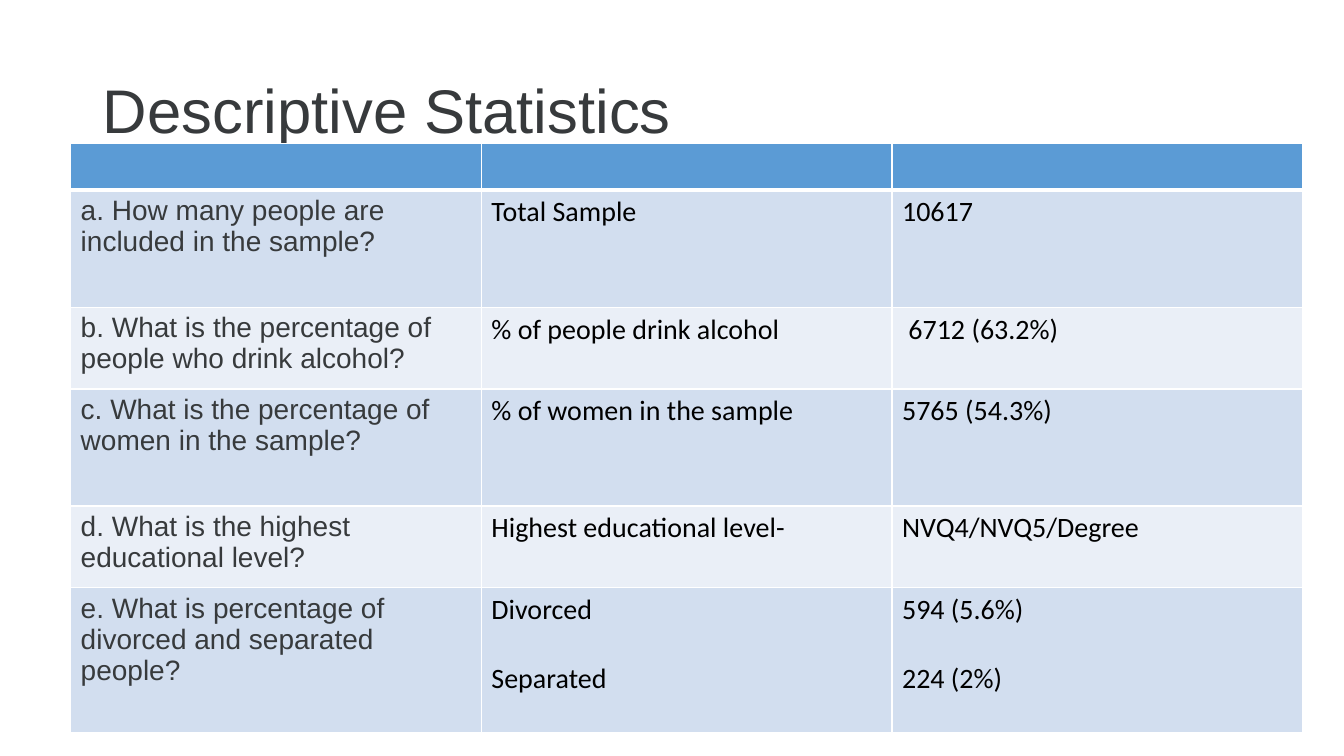
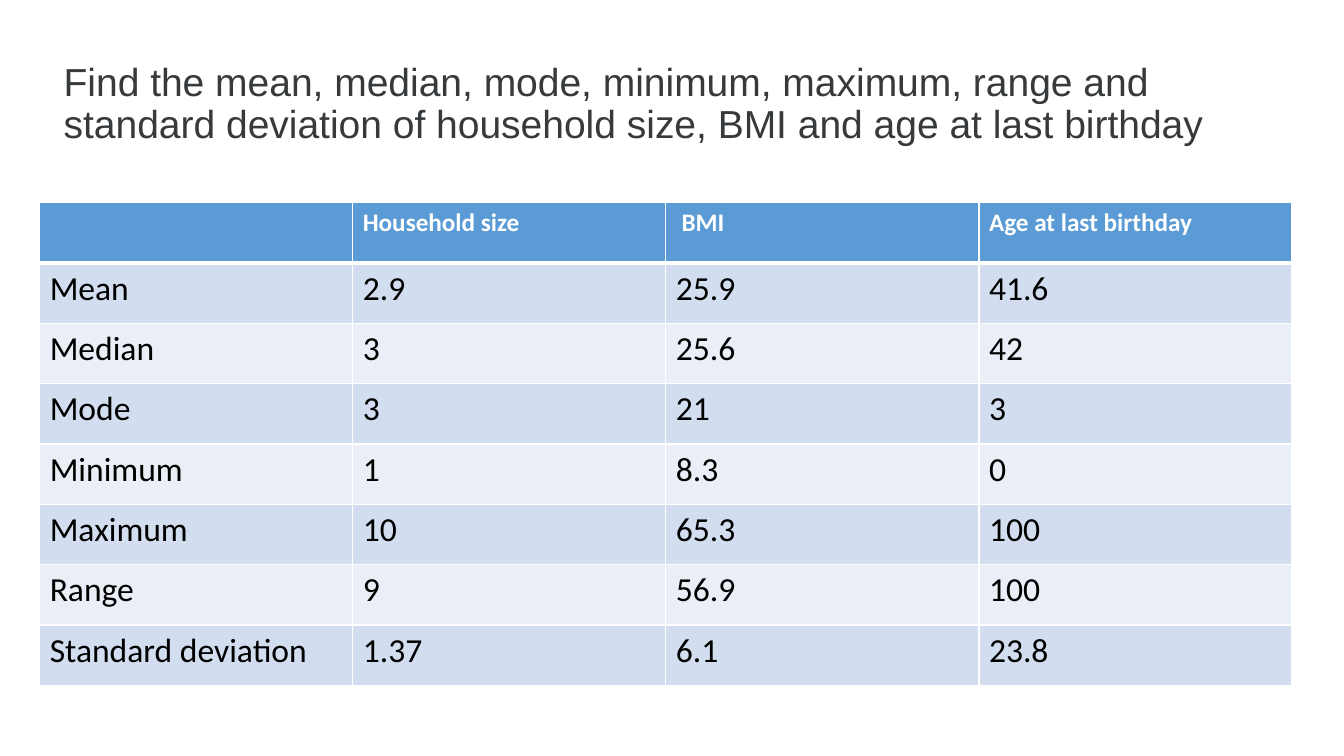
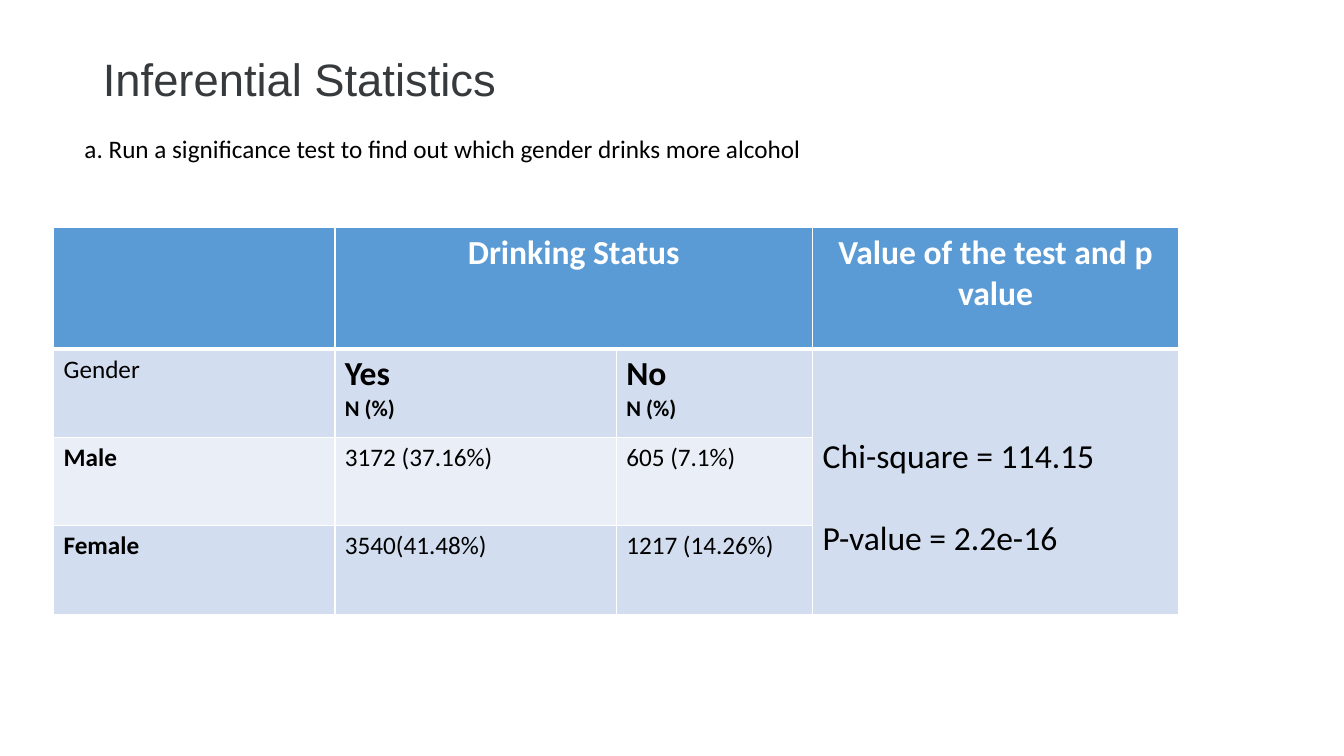
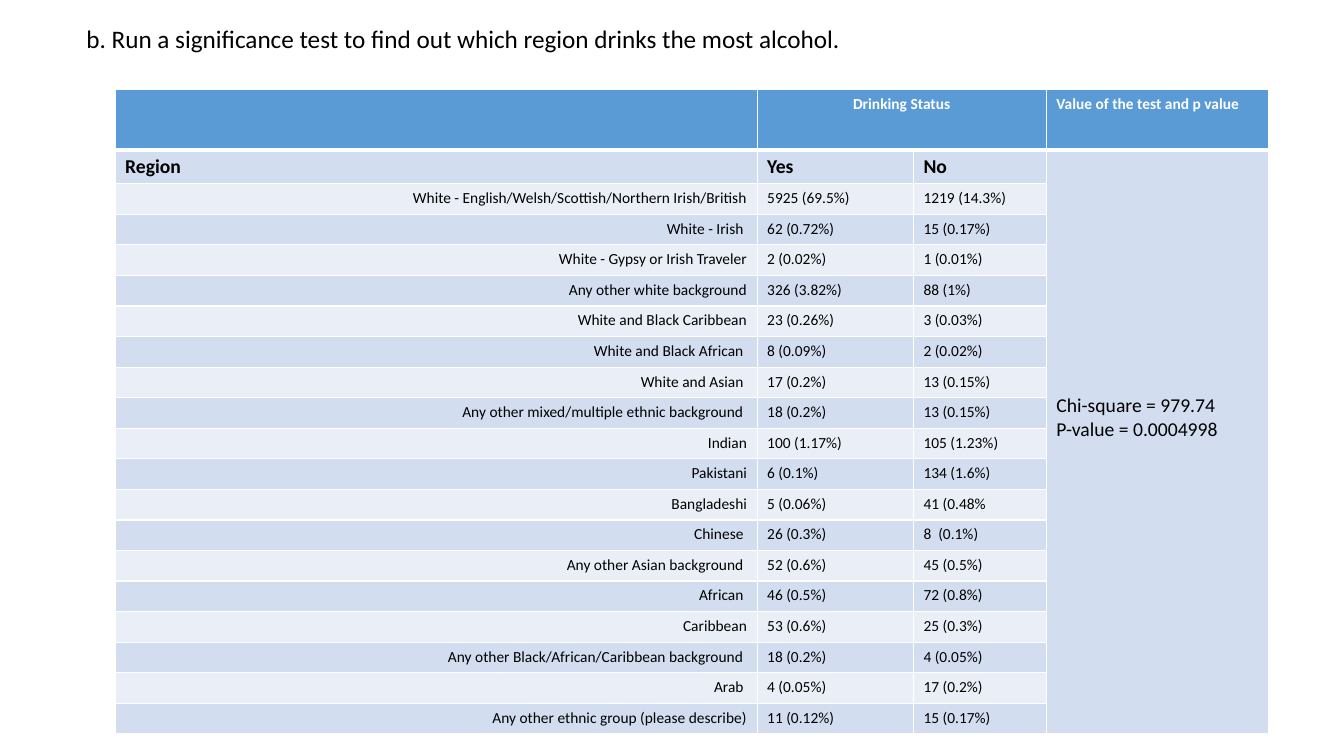
"""Build four slides of descriptive and inferential statistics on alcohol use."""
from dataclasses import dataclass, replace
from typing import NamedTuple

from lxml import etree
from pptx import Presentation
from pptx.dml.color import RGBColor
from pptx.enum import text as t
from pptx.oxml import ns
from pptx.util import Cm, Pt

WHITE, BLACK, SLATE = "FFFFFF", "000000", "373A3C"
HEADER_BLUE = "5B9BD5"
BANDS = ("D2DEEF", "EAEFF7")
TITLE_ONLY, BLANK = 5, 6
LINE_HEIGHT = 1.22


class Box(NamedTuple):
    """Position and size in centimetres."""
    left: float
    top: float
    width: float
    height: float


@dataclass(frozen=True)
class Style:
    """Look of one line of text."""
    size: float
    bold: bool = False
    color: str = BLACK
    font: str = "Calibri"
    align: t.PP_ALIGN = t.PP_ALIGN.LEFT


@dataclass(frozen=True)
class Line:
    """One paragraph, with the space before it in points."""
    text: str
    style: Style
    gap: float = 0


@dataclass(frozen=True)
class Cell:
    """Lines of a table cell and its top margin in centimetres."""
    lines: tuple[Line, ...] = ()
    margin_top: float = 0.13


@dataclass(frozen=True)
class Grid:
    """A table: corner, column widths, row heights, cells and merged ranges."""
    left: float
    top: float
    columns: list[float]
    heights: list[float]
    rows: list[list[Cell]]
    merges: tuple[tuple[int, int, int, int], ...] = ()


EMPTY = Cell()


def rgb(color: str) -> RGBColor:
    """Turn a hex string into a colour."""
    return RGBColor.from_string(color)


def cell(text: str, style: Style) -> Cell:
    """Make a cell with a single line."""
    return Cell((Line(text, style),))


def write_lines(frame, lines: tuple[Line, ...]) -> None:
    """Write formatted paragraphs into a text frame."""
    for index, line in enumerate(lines):
        paragraph = frame.add_paragraph() if index else frame.paragraphs[0]
        paragraph.alignment = line.style.align
        if line.gap:
            paragraph.space_before = Pt(line.gap)
        run = paragraph.add_run()
        run.text = line.text
        run.font.name = line.style.font
        run.font.size = Pt(line.style.size)
        run.font.bold = line.style.bold
        run.font.color.rgb = rgb(line.style.color)


def add_title(slide, text: str, size: float, box: Box) -> None:
    """Place and fill the title placeholder."""
    title = slide.shapes.title
    title.left, title.top, title.width, title.height = map(Cm, box)
    frame = title.text_frame
    frame.auto_size = t.MSO_AUTO_SIZE.NONE
    frame.vertical_anchor = t.MSO_ANCHOR.MIDDLE
    write_lines(frame, (Line(text, Style(size, color=SLATE, font="Arial")),))
    frame.paragraphs[0].line_spacing = 0.9


def add_caption(slide, text: str, box: Box) -> None:
    """Add the question above a table."""
    frame = slide.shapes.add_textbox(*map(Cm, box)).text_frame
    frame.word_wrap = True
    write_lines(frame, (Line(text, Style(18)),))


def set_borders(table_cell, row: int) -> None:
    """Draw white borders, thick between the header and the body."""
    properties = table_cell._tc.get_or_add_tcPr()
    widths = {"L": 1, "R": 1, "T": 3 if row == 1 else 1, "B": 3 if row == 0 else 1}
    for side, width in widths.items():
        border = etree.SubElement(properties, ns.qn(f"a:ln{side}"), w=str(Pt(width)))
        fill = etree.SubElement(border, ns.qn("a:solidFill"))
        etree.SubElement(fill, ns.qn("a:srgbClr"), val=WHITE)


def add_grid(slide, grid: Grid) -> None:
    """Draw a banded table with a blue header."""
    size = map(Cm, (grid.left, grid.top, sum(grid.columns), sum(grid.heights)))
    table = slide.shapes.add_table(len(grid.rows), len(grid.columns), *size).table
    for column, width in zip(table.columns, grid.columns):
        column.width = Cm(width)
    for row, height in zip(table.rows, grid.heights):
        row.height = Cm(height)
    for row_index, row in enumerate(grid.rows):
        color = BANDS[(row_index - 1) % 2] if row_index else HEADER_BLUE
        for column_index, content in enumerate(row):
            table_cell = table.cell(row_index, column_index)
            set_borders(table_cell, row_index)
            table_cell.fill.solid()
            table_cell.fill.fore_color.rgb = rgb(color)
            table_cell.margin_top = Cm(content.margin_top)
            write_lines(table_cell.text_frame, content.lines)
    for top, left, bottom, right in grid.merges:
        table.cell(top, left).merge(table.cell(bottom, right))


def build_descriptive(presentation) -> None:
    """Build the slide of sample questions and answers."""
    question, answer = Style(20, color=SLATE, font="Arial"), Style(20)
    facts = [
        ("a. How many people are included in the sample?", "Total Sample", "10617"),
        ("b. What is the percentage of people who drink alcohol?",
         "% of people drink alcohol", " 6712 (63.2%)"),
        ("c. What is the percentage of women in the sample?",
         "% of women in the sample", "5765 (54.3%)"),
        ("d. What is the highest educational level?",
         "Highest educational level-", "NVQ4/NVQ5/Degree"),
    ]
    rows = [[EMPTY] * 3]
    rows += [[cell(asked, question), cell(label, answer), cell(value, answer)]
             for asked, label, value in facts]
    gap = answer.size * LINE_HEIGHT
    pairs = (("Divorced", "Separated"), ("594 (5.6%)", "224 (2%)"))
    rows.append([cell("e. What is percentage of divorced and separated people?", question)]
                + [Cell((Line(first, answer), Line(second, answer, gap)))
                   for first, second in pairs])
    slide = presentation.slides.add_slide(presentation.slide_layouts[TITLE_ONLY])
    add_title(slide, "Descriptive Statistics", 44, Box(2.34, 1.02, 29.21, 3.68))
    add_grid(slide, Grid(1.78, 3.61, [10.35] * 3,
                         [1.18, 2.95, 2.06, 2.95, 2.06, 3.66], rows))


def build_measures(presentation) -> None:
    """Build the slide of summary measures."""
    header, body = Style(18, True, WHITE), Style(24)
    measures = [
        ("Mean", "2.9", "25.9", "41.6"),
        ("Median", "3", "25.6", "42"),
        ("Mode", "3", "21", "3"),
        ("Minimum", "1", "8.3", "0"),
        ("Maximum", "10", "65.3", "100"),
        ("Range", "9", "56.9", "100"),
        ("Standard deviation", "1.37", "6.1", "23.8"),
    ]
    names = ("Household size", " BMI", "Age at last birthday")
    rows = [[EMPTY] + [cell(name, header) for name in names]]
    rows += [[cell(value, body) for value in measure] for measure in measures]
    slide = presentation.slides.add_slide(presentation.slide_layouts[TITLE_ONLY])
    add_title(slide, "Find the mean, median, mode, minimum, maximum, range and standard "
              "deviation of household size, BMI and age at last birthday",
              27.9, Box(1.35, 0.81, 31.19, 3.68))
    add_grid(slide, Grid(1, 5.11, [7.89] * 4, [1.52] * len(rows), rows))


def build_gender(presentation) -> None:
    """Build the slide of the test by gender."""
    header = Style(24, True, WHITE, align=t.PP_ALIGN.CENTER)
    result, body = Style(24), Style(18)
    label = replace(body, bold=True)
    answers = [Cell((Line(name, Style(24, True)), Line("N (%)", Style(16, True))))
               for name in ("Yes", "No")]
    outcome = Cell((Line("Chi-square = 114.15", result),
                    Line("P-value = 2.2e-16", result, result.size * LINE_HEIGHT)), 2.2)
    counts = [("Male", "3172 (37.16%)", "605 (7.1%)"),
              ("Female", "3540(41.48%)", "1217 (14.26%)")]
    rows = [[EMPTY, cell("Drinking Status", header), EMPTY,
             cell("Value of the test and p value", header)],
            [cell("Gender", body), *answers, outcome]]
    rows += [[cell(gender, label), cell(yes, body), cell(no, body), EMPTY]
             for gender, yes, no in counts]
    slide = presentation.slides.add_slide(presentation.slide_layouts[TITLE_ONLY])
    add_title(slide, "Inferential Statistics", 32.4, Box(2.34, 1.6, 29.21, 0.94))
    add_grid(slide, Grid(1.35, 5.72, [7.09, 7.09, 4.95, 9.22], [3.07] + [2.23] * 3,
                         rows, ((0, 1, 0, 2), (1, 3, 3, 3))))
    add_caption(slide, "a. Run a significance test to find out which gender drinks more alcohol",
                Box(1.88, 3.23, 26.52, 1.02))


def build_region(presentation) -> None:
    """Build the slide of the test by region."""
    header, label = Style(11, True, WHITE), Style(14, True)
    result, body = Style(14), Style(11)
    region_style = replace(body, align=t.PP_ALIGN.RIGHT)
    counts = [
        ("White - English/Welsh/Scottish/Northern Irish/British", "5925 (69.5%)", "1219 (14.3%)"),
        ("White - Irish ", "62 (0.72%)", "15 (0.17%)"),
        (" White - Gypsy or Irish Traveler", "2 (0.02%)", "1 (0.01%)"),
        ("Any other white background", "326 (3.82%)", "88 (1%)"),
        ("White and Black Caribbean", "23 (0.26%)", "3 (0.03%)"),
        ("White and Black African ", "8 (0.09%)", "2 (0.02%)"),
        ("White and Asian ", "17 (0.2%)", "13 (0.15%)"),
        ("Any other mixed/multiple ethnic background ", "18 (0.2%)", "13 (0.15%)"),
        ("Indian", "100 (1.17%)", "105 (1.23%)"),
        ("Pakistani", "6 (0.1%)", "134 (1.6%)"),
        ("Bangladeshi", "5 (0.06%)", "41 (0.48%"),
        ("Chinese ", "26 (0.3%)", "8  (0.1%)"),
        ("Any other Asian background ", "52 (0.6%)", "45 (0.5%)"),
        ("African ", "46 (0.5%)", "72 (0.8%)"),
        ("Caribbean", "53 (0.6%)", "25 (0.3%)"),
        ("Any other Black/African/Caribbean background ", "18 (0.2%)", "4 (0.05%)"),
        (" Arab ", "4 (0.05%)", "17 (0.2%)"),
        ("Any other ethnic group (please describe)", "11 (0.12%)", "15 (0.17%)"),
    ]
    outcome = Cell((Line("Chi-square = 979.74", result),
                    Line("P-value = 0.0004998", result)), 6.15)
    rows = [[EMPTY, cell("Drinking Status", replace(header, align=t.PP_ALIGN.CENTER)), EMPTY,
             cell("Value of the test and p value", header)],
            [*(cell(name, label) for name in ("Region", "Yes", "No")), outcome]]
    rows += [[cell(region, region_style), cell(yes, body), cell(no, body), EMPTY]
             for region, yes, no in counts]
    slide = presentation.slides.add_slide(presentation.slide_layouts[BLANK])
    add_grid(slide, Grid(2.9, 2.26, [16.18, 3.94, 3.35, 5.59],
                         [1.52, 0.84] + [0.77] * len(counts), rows,
                         ((0, 1, 0, 2), (1, 3, len(rows) - 1, 3))))
    add_caption(slide, "b. Run a significance test to find out which region drinks the most alcohol.",
                Box(1.93, 0.46, 27.64, 1.02))


def main() -> None:
    """Build and save the presentation."""
    presentation = Presentation()
    presentation.slide_width, presentation.slide_height = Cm(33.87), Cm(19.05)
    for build in (build_descriptive, build_measures, build_gender, build_region):
        build(presentation)
    presentation.save("out.pptx")


if __name__ == "__main__":
    main()
